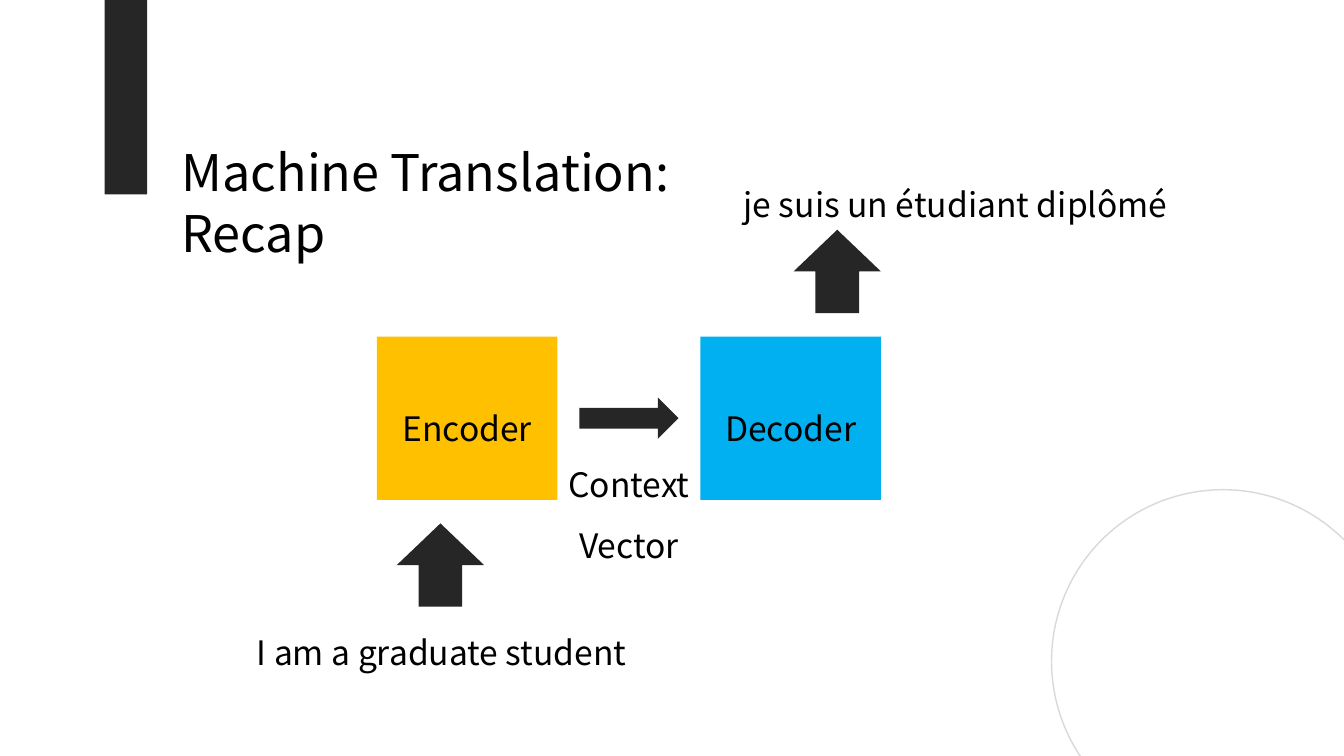
from pptx import Presentation
from pptx.dml.color import RGBColor
from pptx.enum.shapes import MSO_SHAPE
from pptx.enum.text import MSO_ANCHOR, MSO_AUTO_SIZE, PP_ALIGN
from pptx.util import Cm, Pt

RECTANGLE, ELLIPSE = MSO_SHAPE.RECTANGLE, MSO_SHAPE.OVAL
UP_ARROW, RIGHT_ARROW = MSO_SHAPE.UP_ARROW, MSO_SHAPE.RIGHT_ARROW
TOP, MIDDLE = MSO_ANCHOR.TOP, MSO_ANCHOR.MIDDLE
LEFT, CENTER = PP_ALIGN.LEFT, PP_ALIGN.CENTER
NO_AUTOFIT = MSO_AUTO_SIZE.NONE

SLIDE_WIDTH, SLIDE_HEIGHT = 33.87, 19.05
TITLE_FONT, BODY_FONT = "Noto Sans CJK JP", "Noto Sans CJK KR"
BLACK, DARK, GRAY = "000000", "262626", "D9D9D9"
YELLOW, BLUE = "FFC000", "00B0F0"


def color(hex_string):
    return RGBColor.from_string(hex_string)


def place(shape, left, top, width, height):
    shape.left, shape.top = Cm(left), Cm(top)
    shape.width, shape.height = Cm(width), Cm(height)


def add_filled_shape(slide, kind, left, top, width, height, fill):
    shape = slide.shapes.add_shape(kind, Cm(left), Cm(top), Cm(width), Cm(height))
    shape.shadow.inherit = False
    shape.fill.solid()
    shape.fill.fore_color.rgb = color(fill)
    shape.line.fill.background()
    return shape


def write_text(shape, lines, font_name, size, alignment, anchor, spacing):
    """Fill a shape with one paragraph per line, all in the same style."""
    frame = shape.text_frame
    frame.word_wrap = True
    frame.auto_size = NO_AUTOFIT
    frame.vertical_anchor = anchor
    frame.text = "\n".join(lines)
    for paragraph in frame.paragraphs:
        paragraph.alignment = alignment
        paragraph.line_spacing = spacing
        paragraph.font.name = font_name
        paragraph.font.size = Pt(size)
        paragraph.font.color.rgb = color(BLACK)


def write_body(shape, lines, alignment, anchor=TOP):
    write_text(shape, lines, BODY_FONT, 24, alignment, anchor, 1.5)


def add_label(slide, lines, left, top, width, height, alignment=LEFT):
    label = slide.shapes.add_textbox(Cm(left), Cm(top), Cm(width), Cm(height))
    write_body(label, lines, alignment)


def add_decoration(slide, width, height):
    """Draw the bar hanging from the top and the circle in the corner."""
    diameter = 8.64
    circle = slide.shapes.add_shape(
        ELLIPSE, Cm(width - 7.37), Cm(height - 6.71), Cm(diameter), Cm(diameter))
    circle.shadow.inherit = False
    circle.fill.background()
    circle.line.color.rgb = color(GRAY)
    circle.line.width = Pt(1)
    add_filled_shape(slide, RECTANGLE, 2.64, 0, 1.07, 4.9, DARK)


def add_title(slide, left, top, width, height):
    title = slide.shapes.title
    place(title, left, top, width, height)
    write_text(title, ["Machine Translation: Recap"], TITLE_FONT, 36, LEFT, TOP, 1.0)


def add_stage(slide, name, left, top, width, height, fill):
    stage = add_filled_shape(slide, RECTANGLE, left, top, width, height, fill)
    write_body(stage, [name], CENTER, MIDDLE)


def add_translation_diagram(slide, left, top, width, height):
    """Draw input sentence, encoder, context vector, decoder and output sentence."""
    label_height = 1.8
    arrow_width, arrow_height = 2.2, 2.1
    stage_width, stage_height, stage_gap = 4.55, 4.11, 3.6
    encoder_left = left + 3.28
    decoder_left = encoder_left + stage_width + stage_gap
    stage_top = top + (height - stage_height) / 2
    input_top = top + height - label_height
    output_left = left + 12.27

    add_stage(slide, "Encoder", encoder_left, stage_top, stage_width, stage_height, YELLOW)
    add_stage(slide, "Decoder", decoder_left, stage_top, stage_width, stage_height, BLUE)

    add_label(slide, ["I am a graduate student"], left, input_top, 13.54, label_height)
    add_label(slide, ["je suis un étudiant diplômé"],
              output_left, top, left + width - output_left, label_height)
    add_filled_shape(slide, UP_ARROW, encoder_left + 0.5, input_top - arrow_height,
                     arrow_width, arrow_height, DARK)
    add_filled_shape(slide, UP_ARROW, decoder_left + stage_width - arrow_width,
                     top + label_height, arrow_width, arrow_height, DARK)

    gap_center = decoder_left - stage_gap / 2
    flow_width, flow_height, context_width = 2.5, 1.04, 3.86
    flow_top = stage_top + (stage_height - flow_height) / 2
    add_filled_shape(slide, RIGHT_ARROW, gap_center - flow_width / 2, flow_top,
                     flow_width, flow_height, DARK)
    add_label(slide, ["Context", "Vector"], gap_center - context_width / 2,
              flow_top + flow_height, context_width, 3.18, CENTER)


def main():
    presentation = Presentation()
    presentation.slide_width, presentation.slide_height = Cm(SLIDE_WIDTH), Cm(SLIDE_HEIGHT)
    slide = presentation.slides.add_slide(presentation.slide_layouts[5])
    add_decoration(slide, SLIDE_WIDTH, SLIDE_HEIGHT)
    add_title(slide, 4.32, 3.43, 13.87, 3.3)
    add_translation_diagram(slide, 6.22, 3.99, 24.03, 13.1)
    presentation.save("out.pptx")


if __name__ == "__main__":
    main()
